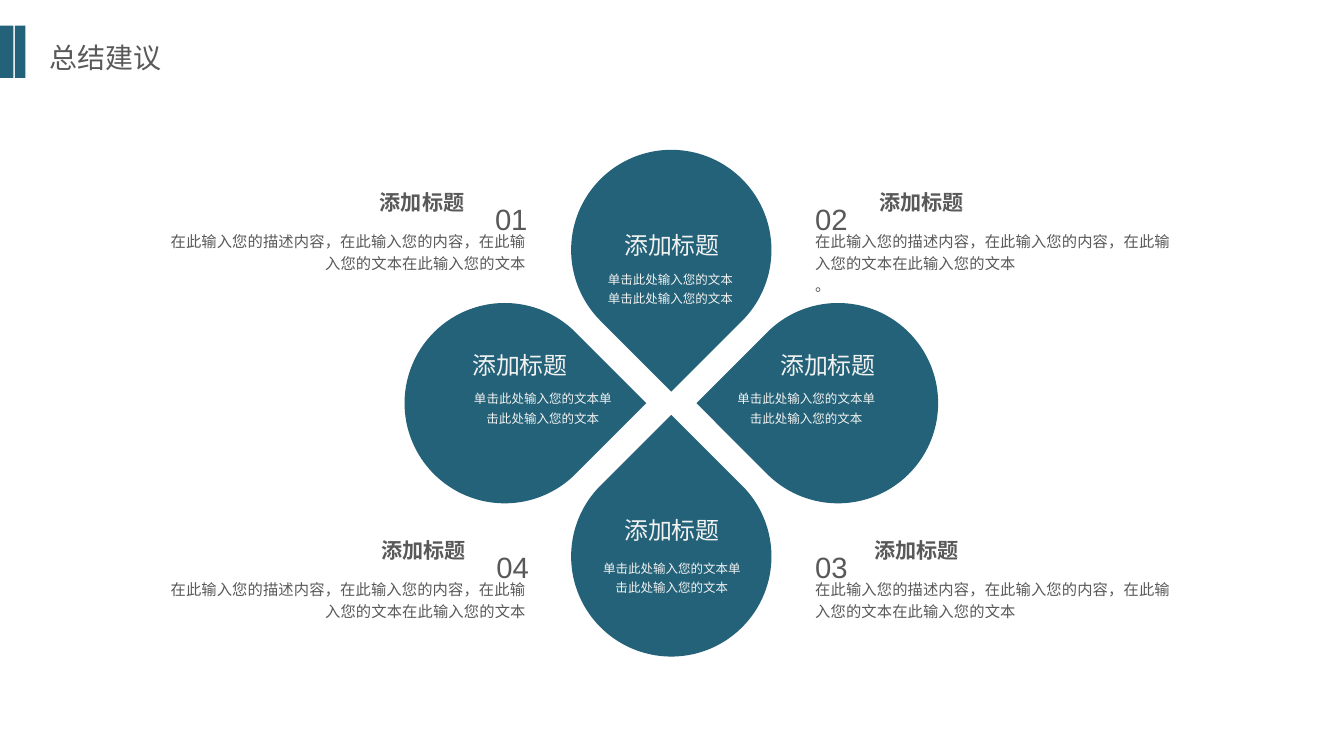
import pptx
import pptx.util
import pptx.dml.color
import pptx.enum.shapes
import pptx.enum.text
import pptx.oxml
import pptx.oxml.ns

RGBColor = pptx.dml.color.RGBColor
SHAPES = pptx.enum.shapes.MSO_SHAPE
ALIGN = pptx.enum.text.PP_ALIGN
LEFT, CENTER, RIGHT = ALIGN.LEFT, ALIGN.CENTER, ALIGN.RIGHT

TEAL = RGBColor(0x23, 0x62, 0x78)
GRAY = RGBColor(0x59, 0x59, 0x59)
PALE = RGBColor(0xF2, 0xF2, 0xF2)
CJK_FONT = "Noto Sans CJK SC"

# Grid of square cells: 100 columns by 56.25 rows
COLUMNS, ROWS = 100, 56.25
CELL = pptx.util.Inches(0.1)

HEADING = "添加标题"
DESCRIPTION = "在此输入您的描述内容，在此输入您的内容，在此输入您的文本在此输入您的文本"
CAPTION = "单击此处输入您的文本" * 2

# Petals: size, and centre of the flower
PETAL = 14.9
CENTER_X, CENTER_Y = 49.95, 30


def cells(count):
    return round(count * CELL)


def add_block(page, kind, left, top, width, height, rotation=0):
    shape = page.shapes.add_shape(
        kind, cells(left), cells(top), cells(width), cells(height))
    shape.rotation = rotation
    shape.shadow.inherit = False
    shape.fill.solid()
    shape.fill.fore_color.rgb = TEAL
    shape.line.fill.background()


def add_text(page, place, lines, size, color, align=LEFT, font=CJK_FONT,
             bold=False, spacing=None, baseline=None, inset=(0.56, 0.28)):
    box = page.shapes.add_textbox(*[cells(length) for length in place])
    frame = box.text_frame
    frame.word_wrap = True
    frame.auto_size = pptx.enum.text.MSO_AUTO_SIZE.SHAPE_TO_FIT_TEXT
    frame.margin_left = frame.margin_right = cells(inset[0])
    frame.margin_top = frame.margin_bottom = cells(inset[1])
    for index, line in enumerate(lines):
        para = frame.add_paragraph() if index else frame.paragraphs[0]
        para.alignment = align
        if spacing:
            para.line_spacing = spacing
        span = para.add_run()
        span.text = line
        span.font.size = pptx.util.Pt(size)
        span.font.bold = bold
        span.font.color.rgb = color
        span.font.name = font
        properties = span.font._element
        east_asian = pptx.oxml.ns.qn("a:ea")
        properties.append(properties.makeelement(
            east_asian, {"typeface": CJK_FONT}))
        if baseline:
            properties.set("baseline", str(baseline))


def add_note(page, number, top, align, heading, body, number_left, lines):
    """Number, heading and description; heading and body are (left, width)."""
    add_text(page, (heading[0], top + 0.8, heading[1], 2.5), [HEADING],
             11.25, GRAY, align, font="Arial", bold=True)
    add_text(page, (body[0], top + 3.7, body[1], 3.9), lines,
             8.25, GRAY, align, spacing=1.2)
    add_text(page, (number_left, top, 5.1, 3.6), [number],
             27, GRAY, align, font="Arial", baseline=-3000)


def add_petal(page, shift_x, shift_y, rotation):
    add_block(page, SHAPES.TEAR, CENTER_X + shift_x - PETAL / 2,
              CENTER_Y + shift_y - PETAL / 2, PETAL, PETAL, rotation)


def add_petal_text(page, heading_place, align, caption_place):
    add_text(page, (*heading_place, 10.6, 2.7), [HEADING], 12.75, PALE, align)
    add_text(page, (*caption_place, 3.5), [CAPTION], 6.75, PALE, CENTER,
             spacing=1.3)


def main():
    deck = pptx.Presentation()
    deck.slide_width = cells(COLUMNS)
    deck.slide_height = cells(ROWS)
    page = deck.slides.add_slide(deck.slide_layouts[6])

    # Notes around the flower
    upper, lower = 13, 38.9
    left_body, right_body = (11.4, 28.3), (60.1, 28.4)
    for number, top, align, heading, body, number_left, lines in (
            ("03", lower, LEFT, (64.5, 15.7), right_body, 60.1, [DESCRIPTION]),
            ("02", upper, LEFT, (64.9, 16.8), right_body, 60.1,
             [DESCRIPTION, "。"]),
            ("04", lower, RIGHT, (18.1, 17.1), left_body, 34.8, [DESCRIPTION]),
            ("01", upper, RIGHT, (20.8, 14.3), left_body, 34.7,
             [DESCRIPTION])):
        add_note(page, number, top, align, heading, body, number_left, lines)

    # Four petals, each pointing at the centre
    for shift_x, shift_y, rotation in (
            (0, -11.4, 135), (0, 11.4, 315), (12.4, 0, 225), (-12.4, 0, 45)):
        add_petal(page, shift_x, shift_y, rotation)

    # Petal texts: left, right, top, bottom
    for heading_place, align, caption_place in (
            ((34.6, 25.8), LEFT, (34.7, 28.5, 11.4)),
            ((55.1, 25.8), RIGHT, (54.3, 28.5, 11.4)),
            ((44.7, 16.9), CENTER, (44.6, 19.6, 10.6)),
            ((44.7, 38.1), CENTER, (44.3, 41.1, 11.4))):
        add_petal_text(page, heading_place, align, caption_place)

    # Page title with its two bars
    for left, width in ((0, 1), (1.1, 0.8)):
        add_block(page, SHAPES.RECTANGLE, left, 1.9, width, 3.9)
    add_text(page, (2.7, 2.5, 24.7, 3.5), ["总结建议"], 15, GRAY,
             inset=(1, 0.5))

    deck.save("out.pptx")


if __name__ == "__main__":
    main()
